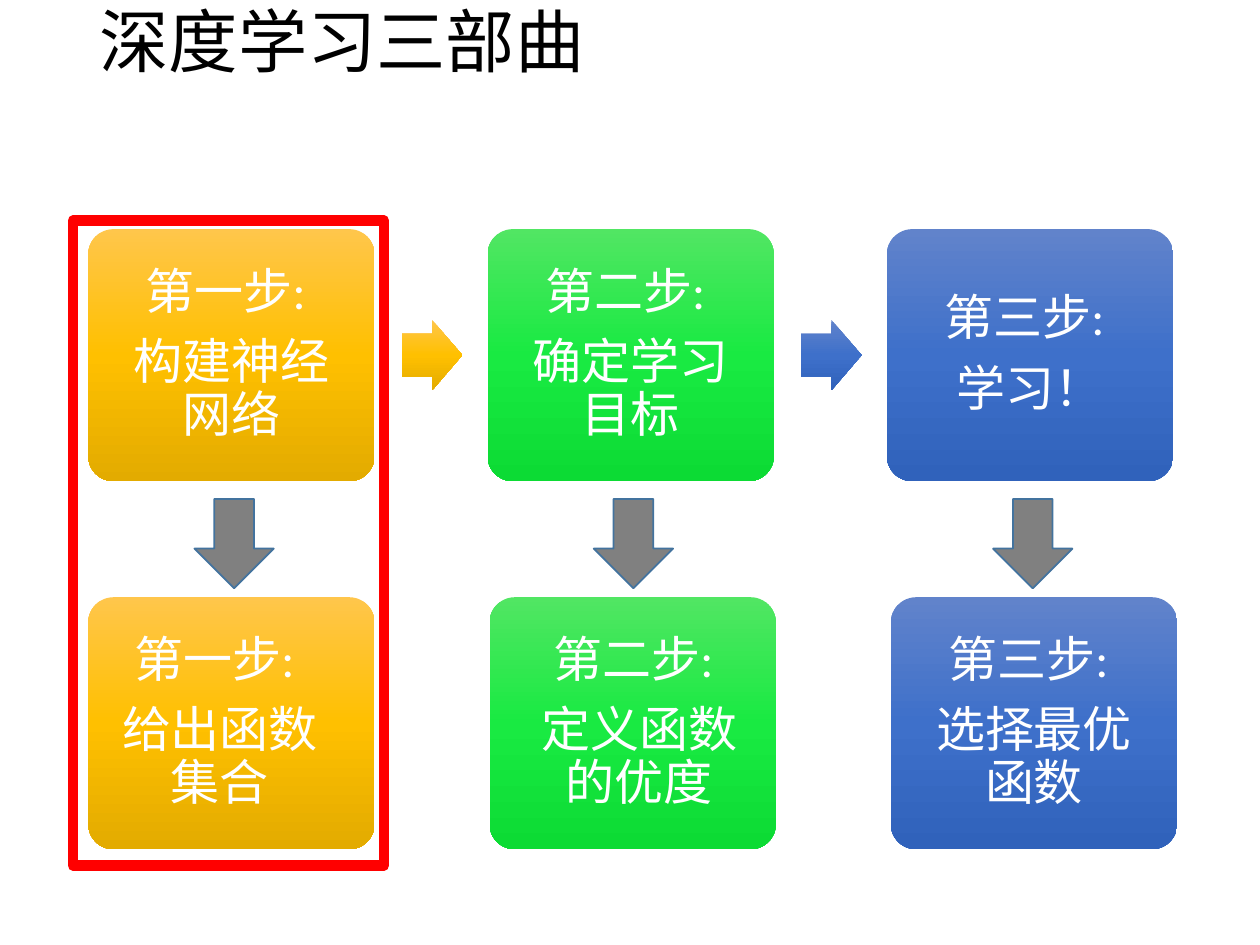
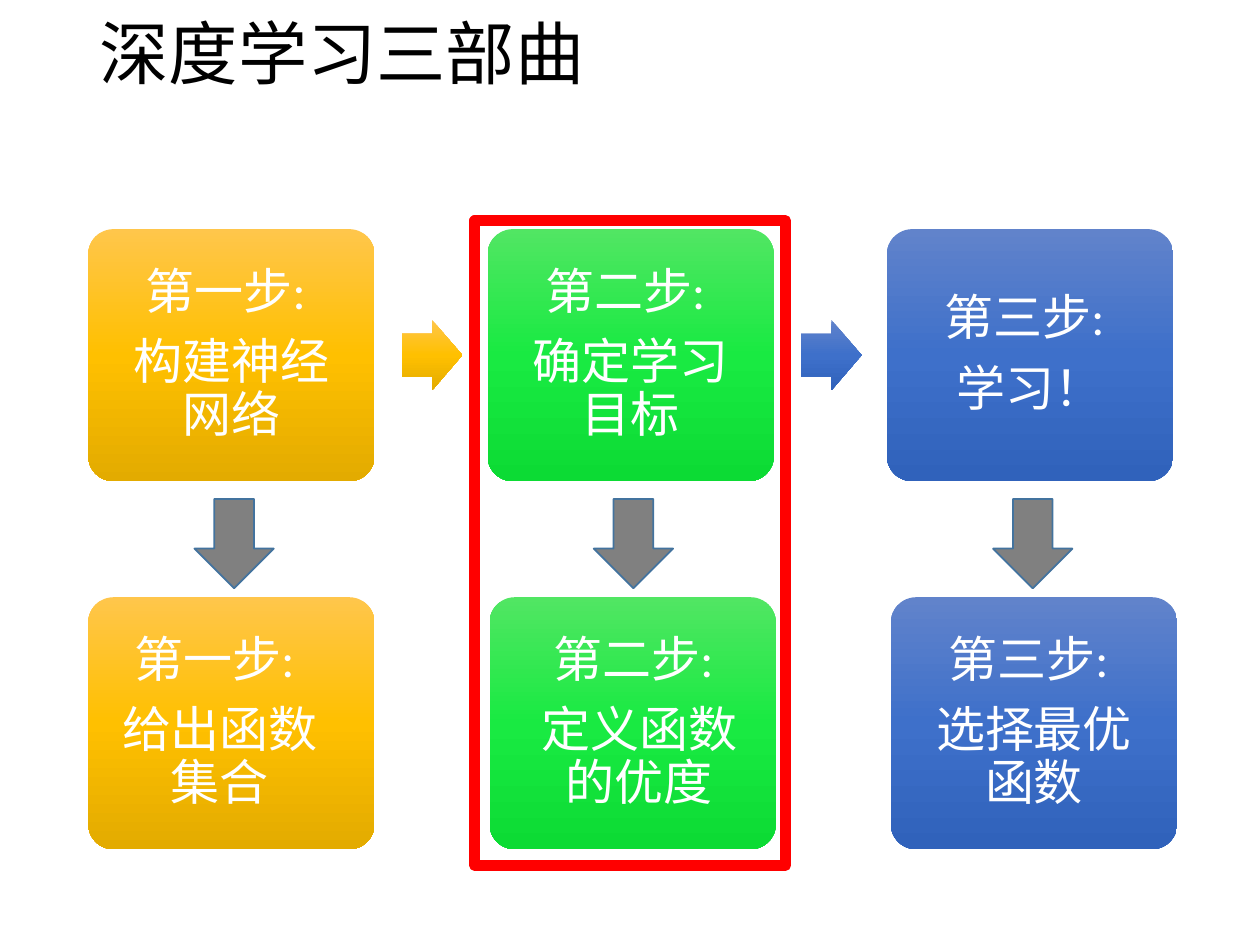
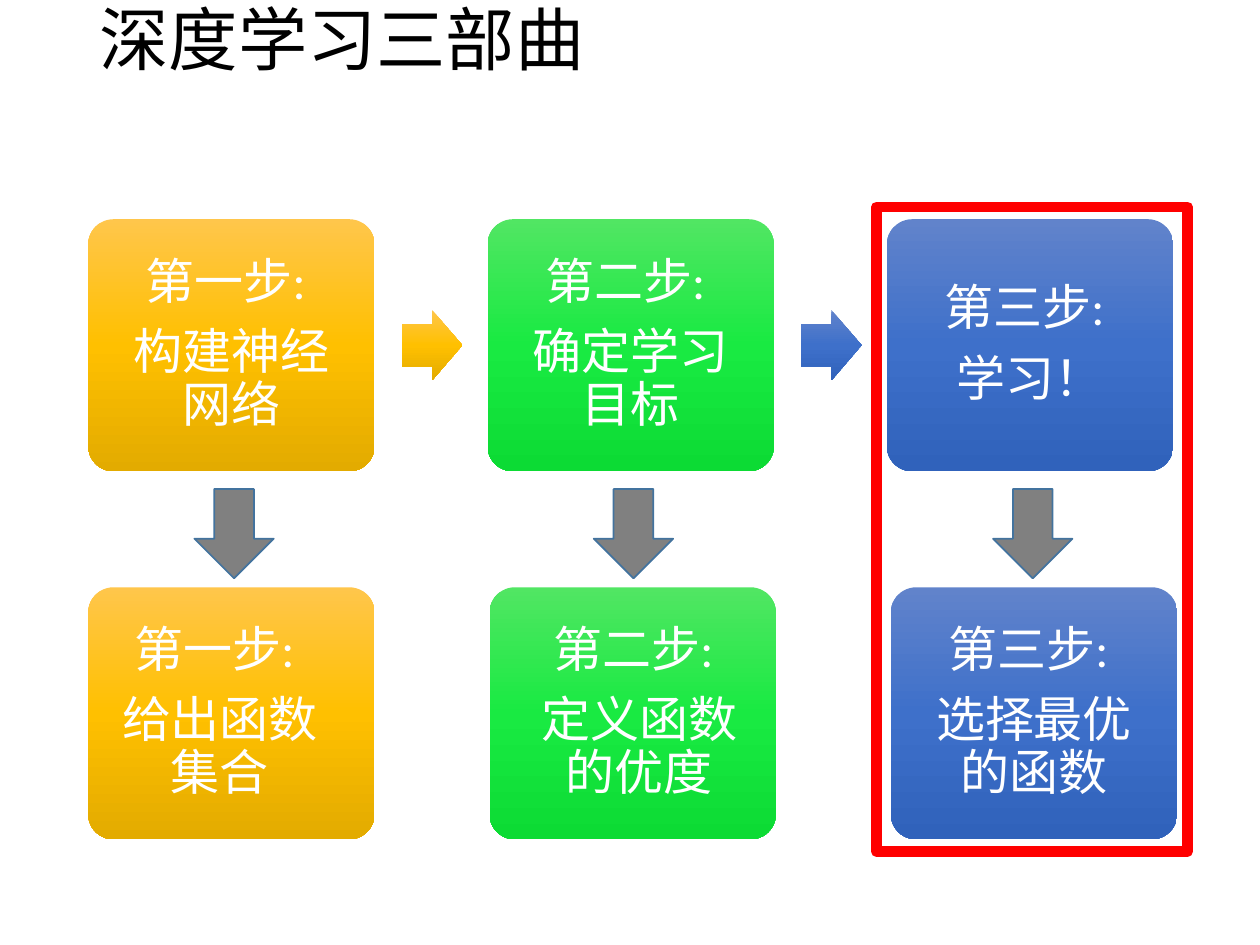
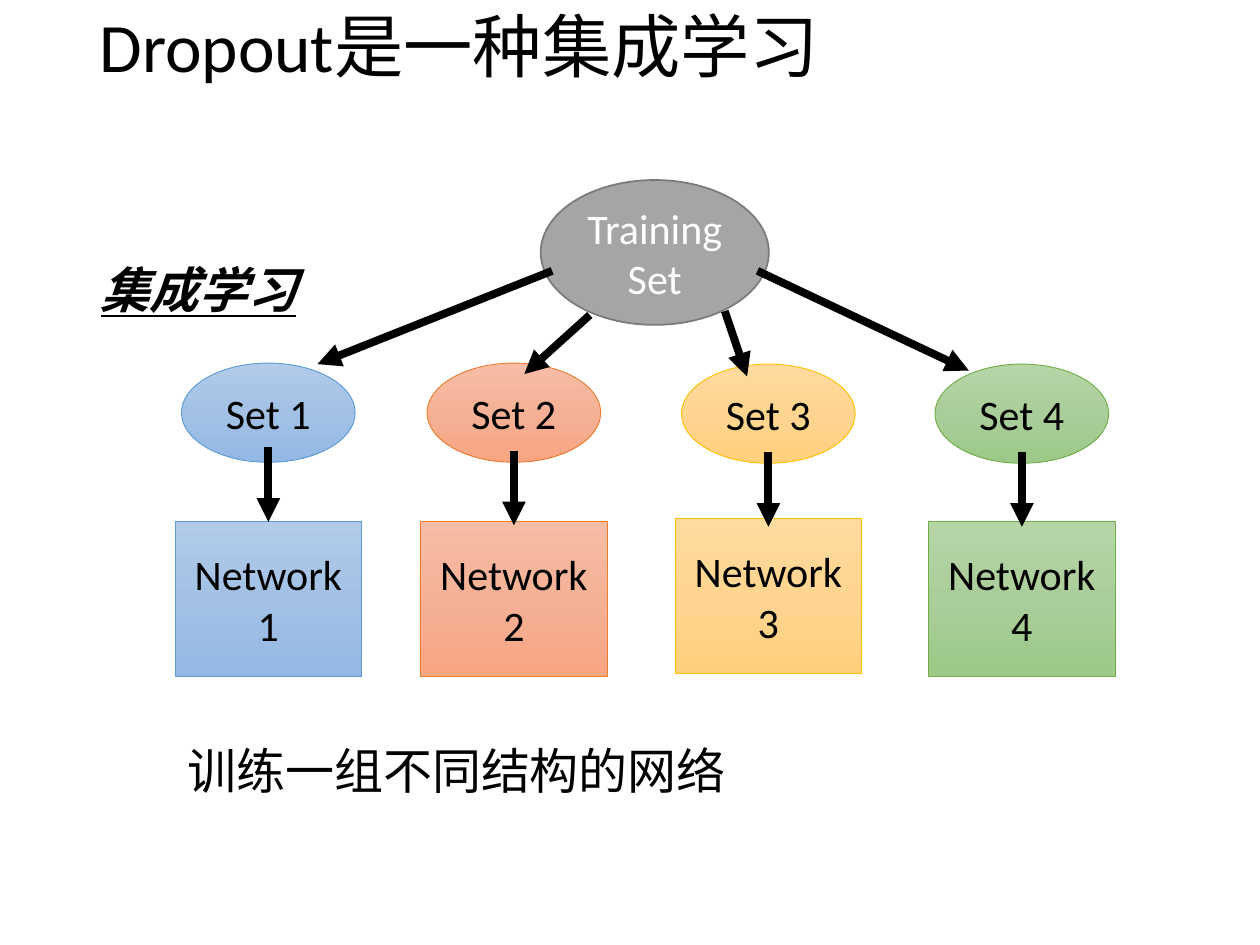
from copy import deepcopy
from dataclasses import dataclass

from lxml import etree
from pptx import Presentation
from pptx.dml.color import RGBColor
from pptx.enum.shapes import MSO_CONNECTOR, MSO_SHAPE
from pptx.enum.text import MSO_ANCHOR, MSO_AUTO_SIZE, PP_ALIGN
from pptx.oxml.ns import qn
from pptx.util import Cm, Pt

RECT, OVAL = MSO_SHAPE.RECTANGLE, MSO_SHAPE.OVAL
ROUNDED = MSO_SHAPE.ROUNDED_RECTANGLE
RIGHT_ARROW, DOWN_ARROW = MSO_SHAPE.RIGHT_ARROW, MSO_SHAPE.DOWN_ARROW
STRAIGHT = MSO_CONNECTOR.STRAIGHT
LEFT, CENTER = PP_ALIGN.LEFT, PP_ALIGN.CENTER
TOP, MIDDLE = MSO_ANCHOR.TOP, MSO_ANCHOR.MIDDLE
NO_AUTOFIT = MSO_AUTO_SIZE.NONE
TITLE_ONLY_LAYOUT = 5


@dataclass(frozen=True)
class Theme:
    font: str = "Calibri"
    title_size: float = 39.6
    card_size: float = 28
    node_size: float = 24
    black: str = "000000"
    white: str = "FFFFFF"
    highlight: str = "FF0000"
    down_arrow: str = "808080"
    down_arrow_line: str = "43739E"
    root: str = "A5A5A5"
    root_line: str = "7A7A7A"
    step_gradients: tuple = (
        ("FFC64B", "FFC000", "E3AB00"),
        ("51E663", "19EA42", "0CDB34"),
        ("6183CB", "3E70CA", "3062BB"),
    )
    branch_gradients: tuple = (
        ("B1CBE9", "A3C1E5", "93B9E4"),
        ("F7BDA5", "F5B196", "F8A582"),
        ("FFDB9E", "FFD590", "FFD07C"),
        ("B5D5A7", "AACE9A", "9CC987"),
    )
    branch_lines: tuple = ("5B9BD5", "ED7D31", "FFC000", "70AD47")


THEME = Theme()


@dataclass(frozen=True)
class Branch:
    """One path from the training set to a network, in cm."""
    center: float
    set_top: float
    network_top: float
    fan_start: tuple
    fan_end: tuple
    drop_top: float


BRANCHES = (
    Branch(5.41, 7.32, 10.52, (11.13, 5.46), (6.4, 7.34), 9.02),
    Branch(10.36, 7.32, 10.52, (11.89, 6.35), (10.57, 7.54), 9.09),
    Branch(15.49, 7.34, 10.46, (14.61, 6.27), (15.06, 7.59), 9.12),
    Branch(20.6, 7.34, 10.52, (15.27, 5.46), (19.53, 7.47), 9.12),
)

STEPS = ("第一步: ", "第二步: ", "第三步: ")
NETWORK_TASKS = ("构建神经网络", "确定学习目标", "学习！")
FUNCTION_TASKS = ("给出函数集合", "定义函数的优度")
LOWER_TEXT_SHIFTS = (-0.23, 0.13, 0)

CARD_SIZE = (5.77, 5.08)
CARD_LEFT, CARD_PITCH = 1.78, 8.05
LOWER_PITCH = 8.09
CARD_MARGIN = 0.3
FRAME_LEFT, FRAME_PITCH = 1.47, 8.1


def box(left, top, width, height):
    return Cm(left), Cm(top), Cm(width), Cm(height)


def write(frame, lines, size, color, align=LEFT, anchor=MIDDLE, spacing=None, after=None):
    frame.word_wrap = True
    frame.vertical_anchor = anchor
    frame.text = "\n".join(lines)
    for paragraph in frame.paragraphs:
        paragraph.alignment = align
        paragraph.line_spacing = spacing
        paragraph.space_after = after
        font = paragraph.font
        font.name, font.size = THEME.font, Pt(size)
        font.color.rgb = RGBColor.from_string(color)


def paint(shape, fill):
    """Fill with a colour, with a vertical gradient of three colours, or not at all."""
    if fill is None:
        shape.fill.background()
    elif isinstance(fill, str):
        shape.fill.solid()
        shape.fill.fore_color.rgb = RGBColor.from_string(fill)
    else:
        shape.fill.gradient()
        shape.fill.gradient_angle = 270
        stops = shape._element.spPr.find(qn("a:gradFill")).find(qn("a:gsLst"))
        stops.insert(1, deepcopy(stops[0]))
        for stop, color, position in zip(shape.fill.gradient_stops, fill, (0, 0.5, 1)):
            stop.color.rgb = RGBColor.from_string(color)
            stop.position = position


def add_figure(slide, kind, place, fill=None, line=None, line_width=1):
    figure = slide.shapes.add_shape(kind, *box(*place))
    figure.shadow.inherit = False
    paint(figure, fill)
    if line:
        figure.line.color.rgb = RGBColor.from_string(line)
        figure.line.width = Pt(line_width)
    else:
        figure.line.fill.background()
    return figure


def add_titled_slide(deck, title, top, height):
    slide = deck.slides.add_slide(deck.slide_layouts[TITLE_ONLY_LAYOUT])
    heading = slide.shapes.title
    heading.left, heading.top, heading.width, heading.height = box(1.75, top, 21.89, height)
    heading.text_frame.auto_size = NO_AUTOFIT
    write(heading.text_frame, [title], THEME.title_size, THEME.black, spacing=0.9)
    return slide


def add_card(slide, left, top, gradient, lines, text_shift=0):
    card = add_figure(slide, ROUNDED, (left, top, *CARD_SIZE), gradient)
    card.adjustments[0] = 0.1
    frame = card.text_frame
    frame.margin_left = Cm(CARD_MARGIN + text_shift)
    frame.margin_right = Cm(CARD_MARGIN - text_shift)
    frame.margin_top = frame.margin_bottom = Cm(CARD_MARGIN)
    write(frame, lines, THEME.card_size, THEME.white, CENTER, spacing=0.9, after=Pt(10))


def add_next_arrow(slide, left, top, gradient):
    arrow = add_figure(slide, RIGHT_ARROW, (left, top, 1.22, 1.42), gradient)
    arrow.adjustments[0] = 0.6
    arrow.adjustments[1] = 0.5


def add_node(slide, kind, place, fill, line, line_width, lines, color=THEME.black):
    node = add_figure(slide, kind, place, fill, line, line_width)
    write(node.text_frame, lines, THEME.node_size, color, CENTER)


def add_caption(slide, place, text):
    caption = slide.shapes.add_textbox(*box(*place))
    write(caption.text_frame, [text], THEME.card_size, THEME.black, anchor=TOP)
    return caption.text_frame.paragraphs[0].font


def add_link(slide, start, end):
    link = slide.shapes.add_connector(STRAIGHT, *(Cm(v) for v in (*start, *end)))
    link.line.color.rgb = RGBColor.from_string(THEME.black)
    link.line.width = Pt(4.5)
    etree.SubElement(link.line._get_or_add_ln(), qn("a:tailEnd"), type="triangle")
    etree.SubElement(link._element.spPr, qn("a:effectLst"))


def add_trilogy_slide(deck, active, title_place, top=4.62, frame_top=4.45,
                      last_task="选择最优函数"):
    """Three steps over their meaning as functions, with the active step framed."""
    slide = add_titled_slide(deck, "深度学习三部曲", *title_place)
    tasks = zip(STEPS, NETWORK_TASKS, (*FUNCTION_TASKS, last_task),
                THEME.step_gradients, LOWER_TEXT_SHIFTS)
    for column, (step, network_task, function_task, gradient, shift) in enumerate(tasks):
        left = CARD_LEFT + column * CARD_PITCH
        add_card(slide, left, top, gradient, [step, network_task])
        add_card(slide, CARD_LEFT + column * LOWER_PITCH, top + 7.42, gradient,
                 [step, function_task], shift)
        add_figure(slide, DOWN_ARROW, (left + 2.14, top + 5.44, 1.6, 1.8),
                   THEME.down_arrow, THEME.down_arrow_line)
        if column < len(STEPS) - 1:
            add_next_arrow(slide, left + 6.32, top + 1.83,
                           THEME.step_gradients[column * 2])
    add_figure(slide, RECT, (FRAME_LEFT + active * FRAME_PITCH, frame_top, 6.27, 13),
               line=THEME.highlight, line_width=6)


def add_ensemble_slide(deck):
    slide = add_titled_slide(deck, "Dropout是一种集成学习", 0.13, 1.75)
    topic = add_caption(slide, (1.78, 5.11, 6.17, 1.45), "集成学习")
    topic.bold = topic.italic = topic.underline = True
    add_caption(slide, (3.53, 14.81, 19.41, 1.45), "训练一组不同结构的网络")
    add_node(slide, OVAL, (10.9, 3.63, 4.6, 2.92), THEME.root, THEME.root_line, 1,
             ["Training Set"], THEME.white)
    styles = zip(BRANCHES, THEME.branch_gradients, THEME.branch_lines)
    for number, (branch, gradient, line) in enumerate(styles, 1):
        add_node(slide, RECT, (branch.center - 1.88, branch.network_top, 3.76, 3.12),
                 gradient, line, 0.5, ["Network", str(number)])
        add_node(slide, OVAL, (branch.center - 1.75, branch.set_top, 3.5, 2),
                 gradient, line, 0.5, [f"Set {number}"])
        add_link(slide, branch.fan_start, branch.fan_end)
        add_link(slide, (branch.center, branch.drop_top),
                 (branch.center, branch.drop_top + 1.5))


def main():
    deck = Presentation()
    deck.slide_width, deck.slide_height = Cm(25.4), Cm(19.05)
    add_trilogy_slide(deck, 0, (0, 1.8))
    add_trilogy_slide(deck, 1, (0.25, 1.8))
    add_trilogy_slide(deck, 2, (0.13, 1.47), 4.42, 4.17, "选择最优的函数")
    add_ensemble_slide(deck)
    deck.save("out.pptx")


if __name__ == "__main__":
    main()
